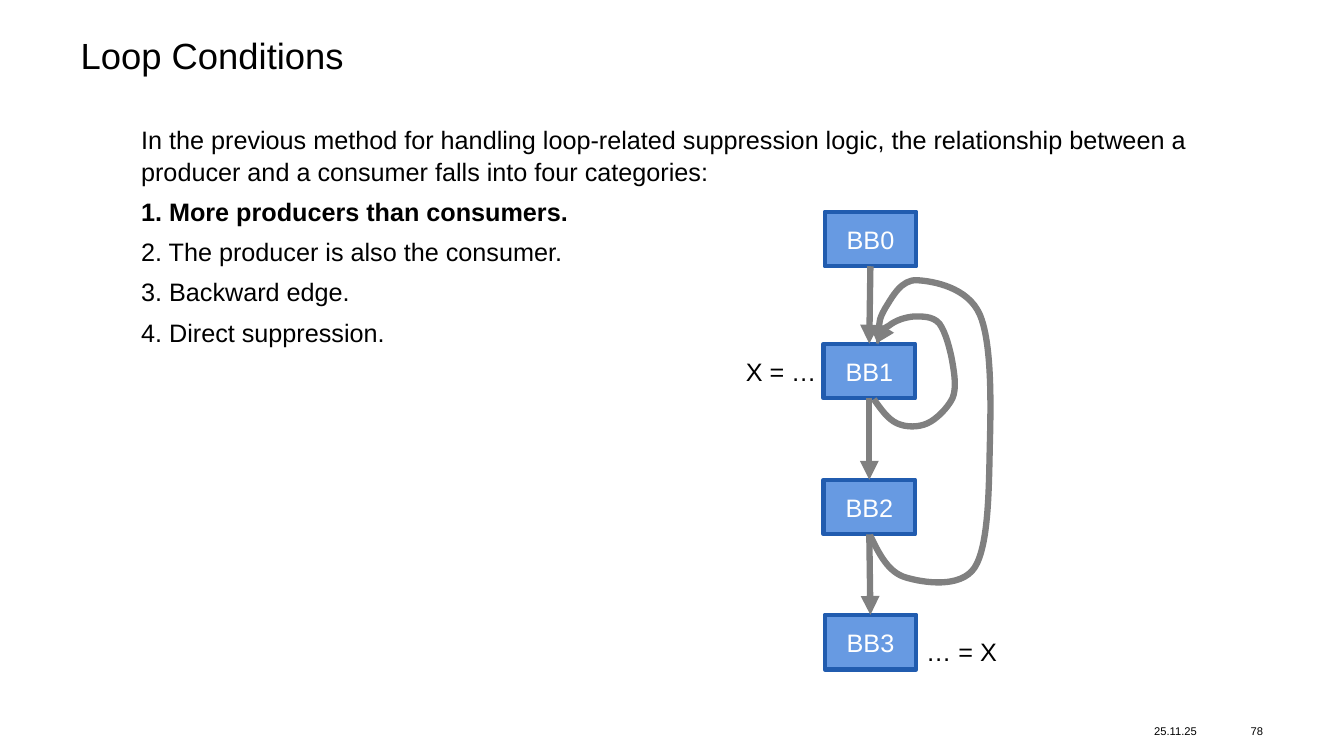
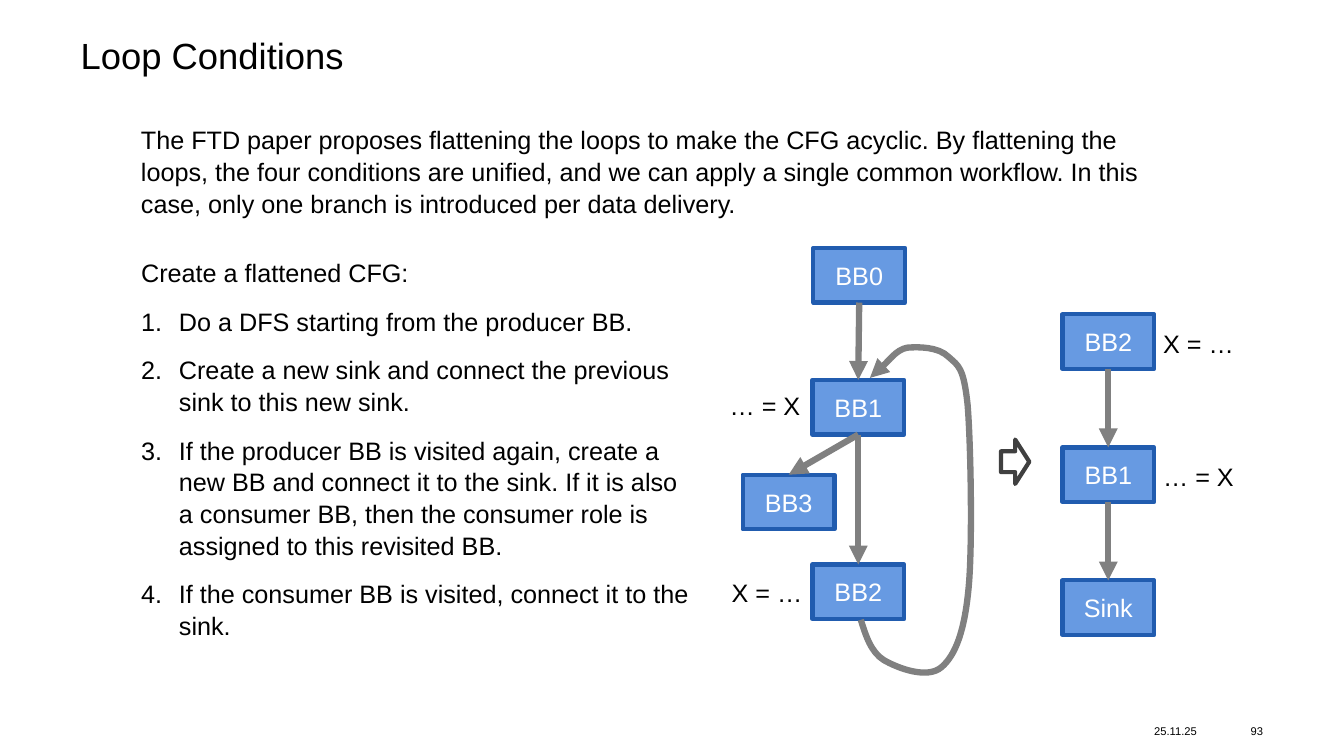
"""Build two slides on loop conditions in control flow graphs."""
from lxml.etree import SubElement
from pptx import Presentation
from pptx.dml.color import RGBColor
from pptx.enum.shapes import MSO_CONNECTOR as Connector, MSO_SHAPE as Preset
from pptx.enum.text import MSO_ANCHOR as Anchor, MSO_AUTO_SIZE as AutoSize, PP_ALIGN as Align
from pptx.oxml.ns import qn
from pptx.util import Pt

BLACK = RGBColor(0x00, 0x00, 0x00)
WHITE = RGBColor(0xFF, 0xFF, 0xFF)
BLOCK_FILL = RGBColor(0x67, 0x9A, 0xE2)
BLOCK_EDGE = RGBColor(0x21, 0x5C, 0xAF)
FLOW_GRAY = RGBColor(0x80, 0x80, 0x80)
STEP_GRAY = RGBColor(0x40, 0x40, 0x40)

FONT = "Arial"
TEXT_SIZE = 18
TEXT_LEFT, TEXT_TOP, TEXT_WIDTH = 93.6, 84.2, 762.5
BLOCK_WIDTH, BLOCK_HEIGHT = 65.5, 39
LABEL_HEIGHT = 29
HANGING = 27
TOP, BOTTOM = 0, 2

CATEGORIES = [
    "In the previous method for handling loop-related suppression logic, the relationship "
    "between a producer and a consumer falls into four categories:",
    "1. More producers than consumers.",
    "2. The producer is also the consumer.",
    "3. Backward edge.",
    "4. Direct suppression.",
]
FLATTENING = (
    "The FTD paper proposes flattening the loops to make the CFG acyclic. By flattening the "
    "loops, the four conditions are unified, and we can apply a single common workflow. In this "
    "case, only one branch is introduced per data delivery."
)
STEPS = [
    "Create a flattened CFG:",
    "Do a DFS starting from the producer BB.",
    "Create a new sink and connect the previous sink to this new sink.",
    "If the producer BB is visited again, create a new BB and connect it to the sink. If it is "
    "also a consumer BB, then the consumer role is assigned to this revisited BB.",
    "If the consumer BB is visited, connect it to the sink.",
]

INNER_LOOP = [
    (624.2, 285.1),
    (629.3, 292.3), (634.3, 299.5), (640.8, 302.4),
    (647.3, 305.3), (655.9, 305.3), (662.4, 302.4),
    (668.9, 299.5), (676.8, 291.6), (680.4, 284.4),
    (683.3, 277.2), (681.8, 267.8), (680.4, 259.2),
    (679, 250.6), (675.4, 236.9), (671, 231.1),
    (666, 225.4), (658.1, 226.1), (652.3, 226.1),
    (645.8, 226.8), (639.4, 229), (635, 232.6),
    (630, 235.4), (627.8, 241.9), (625.7, 245.5),
]
OUTER_LOOP = [
    (621.4, 382.3),
    (627.8, 395.3), (634.3, 409), (647.3, 412.6),
    (659.5, 416.2), (686.2, 420.5), (696.2, 405.4),
    (706.3, 389.5), (706.3, 348.5), (707, 318.2),
    (707.8, 288.7), (708.5, 244.8), (699.8, 224.6),
    (691.2, 205.2), (666.7, 200.9), (655.2, 200.2),
    (643.7, 199.4), (637.2, 212.4), (632.2, 220.3),
    (627.8, 228.2), (627.1, 236.9), (627.1, 246.2),
]
BACK_EDGE = [
    (614.9, 442.8),
    (618.5, 454.3), (622.1, 465.8), (631.4, 471.6),
    (641.5, 477.4), (662.4, 485.3), (672.5, 476.6),
    (682.6, 468), (689, 450.7), (691.9, 419.8),
    (694.8, 388.8), (693.4, 316.8), (691.2, 289.4),
    (688.3, 262.1), (684.7, 261.4), (677.5, 254.9),
    (670.3, 247.7), (655.9, 247.7), (648, 248.4),
    (640.1, 249.8), (635, 257.8), (630.7, 261.4),
    (626.4, 265), (624.2, 267.1), (621.4, 270),
]


def add_run(paragraph, text, size=TEXT_SIZE, color=BLACK, bold=False):
    """Append one formatted run."""
    run = paragraph.add_run()
    run.text = text
    run.font.name = FONT
    run.font.size = Pt(size)
    run.font.bold = bold
    run.font.color.rgb = color


def place(shape, left, top, width, height):
    """Move and size a shape in points."""
    shape.left, shape.top = Pt(left), Pt(top)
    shape.width, shape.height = Pt(width), Pt(height)


def clear_margins(frame):
    """Remove the insets of a text frame."""
    frame.margin_left = frame.margin_right = frame.margin_top = frame.margin_bottom = 0


def add_text(slide, text, left, top, width, height, size=TEXT_SIZE, wrap=True):
    """Add a text box of one paragraph and return its frame."""
    frame = slide.shapes.add_textbox(Pt(left), Pt(top), Pt(width), Pt(height)).text_frame
    frame.word_wrap = wrap
    frame.paragraphs[0].line_spacing = 1.05
    add_run(frame.paragraphs[0], text, size)
    return frame


def add_slide(deck, number):
    """Add a slide with the shared title, date and page number."""
    slide = deck.slides.add_slide(deck.slide_layouts[1])
    title = slide.shapes.title
    place(title, 57.6, 27.4, 844.6, 27.4)
    frame = title.text_frame
    frame.auto_size = AutoSize.NONE
    frame.vertical_anchor = Anchor.TOP
    clear_margins(frame)
    heading = frame.paragraphs[0]
    heading.alignment = Align.LEFT
    heading.line_spacing = 0.9
    add_run(heading, "Loop Conditions", 26)
    for text, left, width, alignment in (
        ("25.11.25", 824.4, 48.2, Align.LEFT),
        (number, 877, 25.2, Align.RIGHT),
    ):
        footer = add_text(slide, text, left, 513.4, width, 17.3, 8)
        footer.vertical_anchor = Anchor.MIDDLE
        clear_margins(footer)
        footer.paragraphs[0].alignment = alignment
    return slide


def fill_body(slide, lines, area, gap, numbered=False, bold_line=None):
    """Write a lead line and its list into the body placeholder."""
    body = slide.placeholders[1]
    place(body, *area)
    frame = body.text_frame
    frame.auto_size = AutoSize.NONE
    frame.vertical_anchor = Anchor.TOP
    for index, text in enumerate(lines):
        paragraph = frame.paragraphs[0] if index == 0 else frame.add_paragraph()
        in_list = numbered and index > 0
        indent = Pt(HANGING) if in_list else 0
        properties = paragraph._p.get_or_add_pPr()
        properties.set("marL", str(indent))
        properties.set("indent", str(-indent))
        if in_list:
            SubElement(properties, qn("a:buFont"), typeface="+mj-lt")
            SubElement(properties, qn("a:buAutoNum"), type="arabicPeriod")
        else:
            SubElement(properties, qn("a:buNone"))
        paragraph.alignment = Align.LEFT
        paragraph.line_spacing = 1.05
        paragraph.space_before = Pt(gap if index else 0)
        add_run(paragraph, text, bold=index == bold_line)


def add_block(slide, name, left, top):
    """Add a basic block of the graph."""
    block = slide.shapes.add_shape(
        Preset.RECTANGLE, Pt(left), Pt(top), Pt(BLOCK_WIDTH), Pt(BLOCK_HEIGHT))
    block.shadow.inherit = False
    block.fill.solid()
    block.fill.fore_color.rgb = BLOCK_FILL
    block.line.color.rgb = BLOCK_EDGE
    block.line.width = Pt(3)
    block.text_frame.vertical_anchor = Anchor.MIDDLE
    block.text_frame.paragraphs[0].alignment = Align.CENTER
    add_run(block.text_frame.paragraphs[0], name, color=WHITE)
    return block


def add_label(slide, text, left, top):
    """Add a definition or use beside a block."""
    add_text(slide, text, left, top, BLOCK_WIDTH, LABEL_HEIGHT, wrap=False)


def style_flow(edge):
    """Give an edge its gray line and arrowhead."""
    edge.line.color.rgb = FLOW_GRAY
    edge.line.width = Pt(4.5)
    outline = edge.element.spPr.find(qn("a:ln"))
    SubElement(outline, qn("a:tailEnd"), type="triangle")


def add_edge(slide, source, target):
    """Connect the bottom of one block to the top of another."""
    edge = slide.shapes.add_connector(Connector.STRAIGHT, 0, 0, 0, 0)
    edge.begin_connect(source, BOTTOM)
    edge.end_connect(target, TOP)
    style_flow(edge)
    SubElement(edge.element.spPr, qn("a:effectLst"))


def add_curve(slide, points):
    """Add a curved edge from a start point and triples of Bezier points."""
    corners = [(Pt(x), Pt(y)) for x, y in points]
    builder = slide.shapes.build_freeform(*corners[0])
    builder.add_line_segments(corners[1:], close=False)
    curve = builder.convert_to_shape()
    segments = list(curve.element.iter(qn("a:lnTo")))
    outline = segments[0].getparent()
    for start in range(0, len(segments), 3):
        bezier = SubElement(outline, qn("a:cubicBezTo"))
        for segment in segments[start:start + 3]:
            bezier.append(segment[0])
            outline.remove(segment)
    curve.shadow.inherit = False
    curve.fill.background()
    style_flow(curve)


def add_step_arrow(slide):
    """Add the hollow arrow between the two graphs."""
    arrow = slide.shapes.add_shape(Preset.RIGHT_ARROW, Pt(715), Pt(314), Pt(20.2), Pt(31.7))
    arrow.adjustments[0] = 0.47
    arrow.shadow.inherit = False
    arrow.fill.background()
    arrow.line.color.rgb = STEP_GRAY
    arrow.line.width = Pt(3)


def build_categories(deck):
    """Build the slide on the four categories."""
    slide = add_slide(deck, "78")
    fill_body(slide, CATEGORIES, (TEXT_LEFT, TEXT_TOP, TEXT_WIDTH, 190), 6, bold_line=1)
    spots = [(589, 151.2), (588.2, 245.5), (588.2, 342.7), (589, 439.2)]
    blocks = [add_block(slide, f"BB{i}", *spot) for i, spot in enumerate(spots)]
    for source, target in zip(blocks, blocks[1:]):
        add_edge(slide, source, target)
    add_curve(slide, INNER_LOOP)
    add_curve(slide, OUTER_LOOP)
    add_label(slide, "X = …", 525.6, 249.8)
    add_label(slide, "… = X", 654.5, 450)


def build_flattening(deck):
    """Build the slide on the flattened graph."""
    slide = add_slide(deck, "93")
    add_text(slide, FLATTENING, TEXT_LEFT, TEXT_TOP, TEXT_WIDTH, 72.7)
    fill_body(slide, STEPS, (TEXT_LEFT, 179.3, 410.4, 273.6), 12, numbered=True)
    spots = [(581, 177.1), (580.3, 271.4), (580.3, 403.2), (530.6, 339.1)]
    entry, header, latch, leave = [
        add_block(slide, f"BB{i}", *spot) for i, spot in enumerate(spots)]
    flat = [add_block(slide, name, 758.9, 224.6 + 95 * row)
            for row, name in enumerate(("BB2", "BB1", "Sink"))]
    for source, target in (
        (entry, header), (header, latch), (header, leave), *zip(flat, flat[1:]),
    ):
        add_edge(slide, source, target)
    add_curve(slide, BACK_EDGE)
    add_step_arrow(slide)
    for text, left, top in (
        ("… = X", 514.1, 274.3),
        ("X = …", 515.5, 407.5),
        ("X = …", 823.7, 229.7),
        ("… = X", 823.7, 324.7),
    ):
        add_label(slide, text, left, top)


def main():
    """Build and save the deck."""
    deck = Presentation()
    deck.slide_width, deck.slide_height = Pt(960), Pt(540)
    build_categories(deck)
    build_flattening(deck)
    deck.save("out.pptx")


if __name__ == "__main__":
    main()
